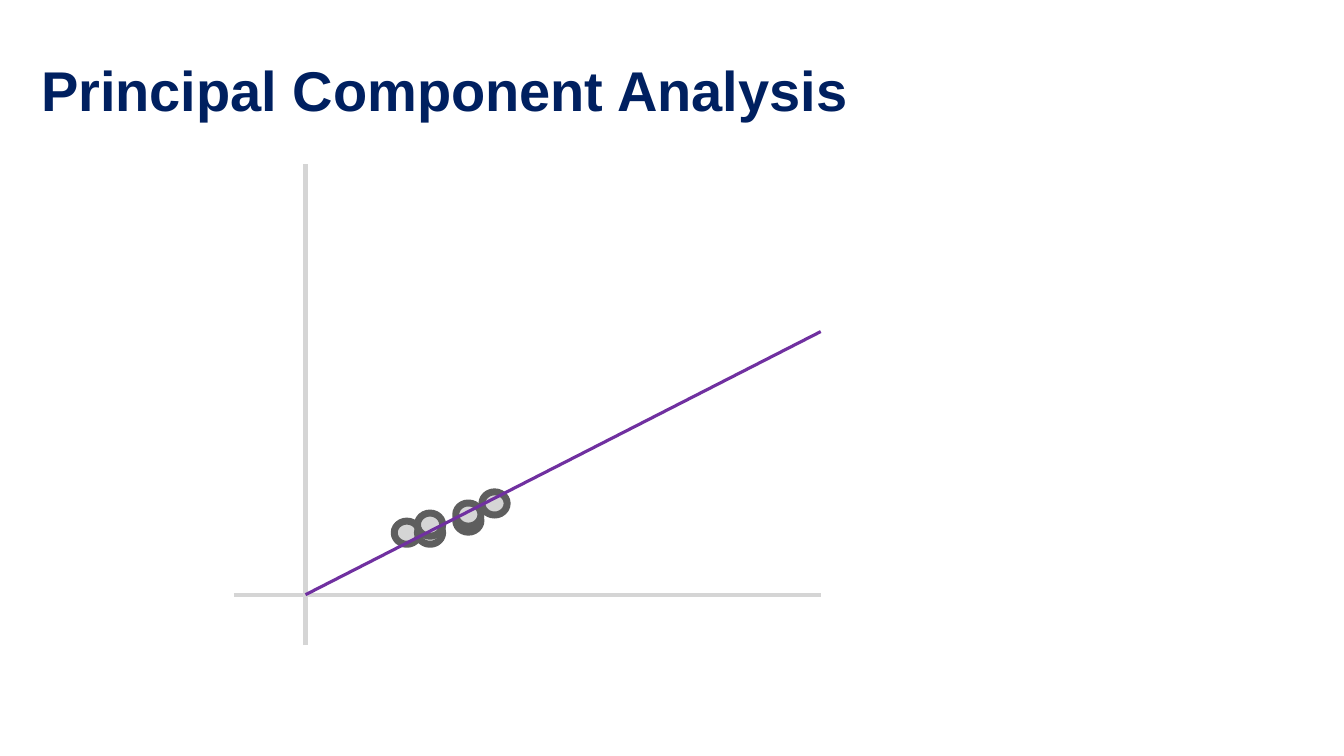
"""Build a slide showing the first principal axis through a cloud of points."""
from pptx import Presentation
from pptx.dml.color import RGBColor
from pptx.enum.shapes import MSO_CONNECTOR, MSO_SHAPE
from pptx.enum.text import MSO_AUTO_SIZE
from pptx.oxml.ns import qn
from pptx.util import Inches, Pt
from lxml import etree

NAVY = RGBColor(0x00, 0x20, 0x60)
SILVER = RGBColor(0xD5, 0xD5, 0xD5)
GRAY = RGBColor(0x5E, 0x5E, 0x5E)
PURPLE = RGBColor(0x70, 0x30, 0xA0)

deck = Presentation()
deck.slide_width = Inches(13.33)
deck.slide_height = Inches(7.5)
slide = deck.slides.add_slide(deck.slide_layouts[6])
shapes = slide.shapes


def add_line(start, end, color, width):
    line = shapes.add_connector(
        MSO_CONNECTOR.STRAIGHT, *map(Inches, start + end))
    line.line.color.rgb = color
    line.line.width = Pt(width)
    etree.SubElement(line._element.spPr, qn("a:effectLst"))


title = shapes.add_textbox(Inches(0.31), Inches(0.5), Inches(8.97), Inches(0.77))
frame = title.text_frame
frame.word_wrap = True
frame.auto_size = MSO_AUTO_SIZE.SHAPE_TO_FIT_TEXT
run = frame.paragraphs[0].add_run()
run.text = "Principal Component Analysis"
run.font.color.rgb = NAVY
for name, value in {"name": "Arial", "size": Pt(40), "bold": True}.items():
    setattr(run.font, name, value)

zero_x, zero_y, right = 3.03, 5.9, 8.14
add_line((zero_x, 6.4), (zero_x, 1.63), SILVER, 3)
add_line((2.32, zero_y), (right, zero_y), SILVER, 3)

points = [(3.91, 5.17), (4.52, 5.05), (4.14, 5.17),
          (4.14, 5.09), (4.52, 4.99), (4.78, 4.88)]
for left, top in points:
    dot = shapes.add_shape(MSO_SHAPE.OVAL, Inches(left), Inches(top),
                           Inches(0.25), Inches(0.23))
    dot.shadow.inherit = False
    dot.fill.solid()
    dot.fill.fore_color.rgb = SILVER
    dot.line.color.rgb = GRAY
    dot.line.width = Pt(5)

add_line((zero_x, zero_y), (right, 3.29), PURPLE, 2.25)

deck.save("out.pptx")
